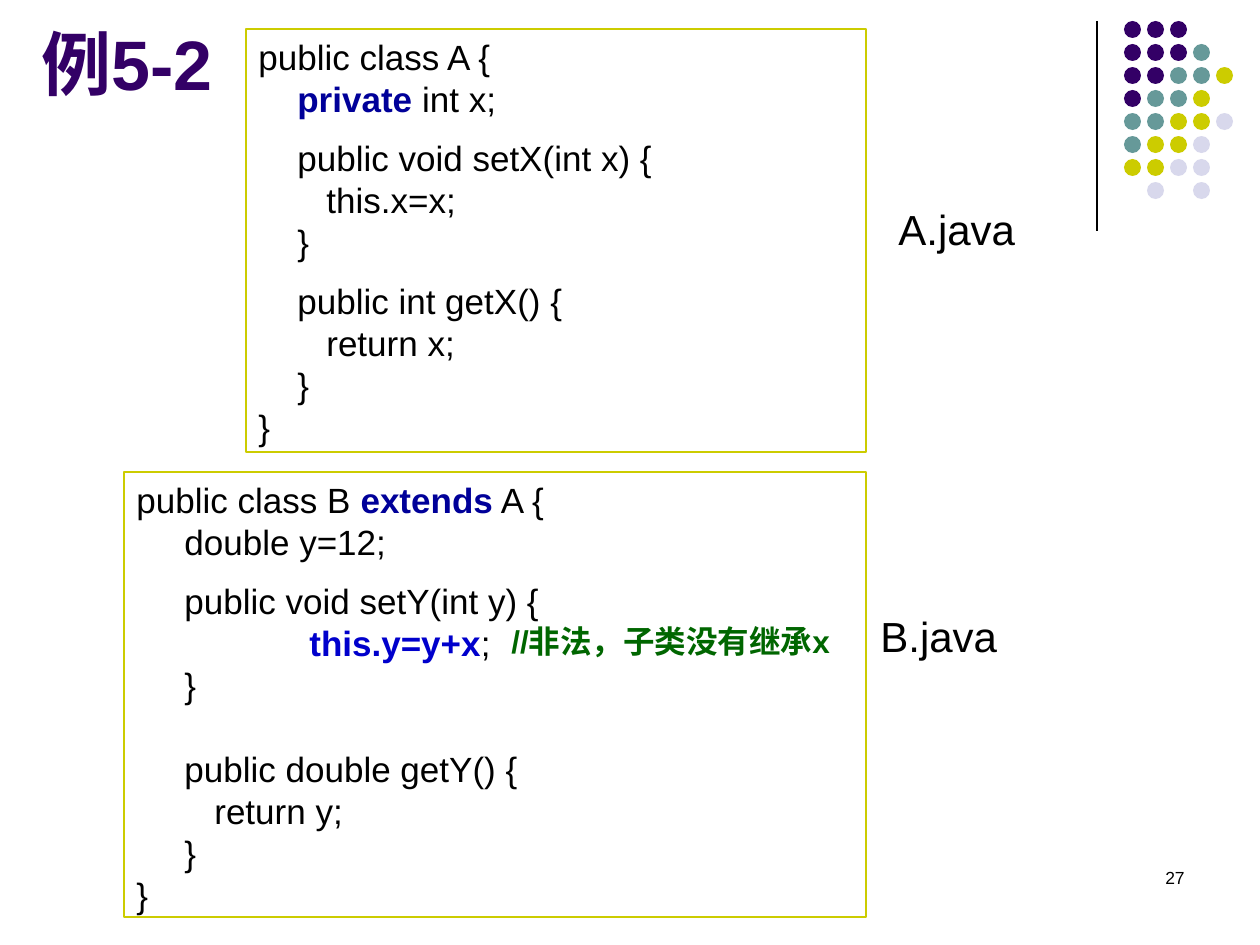
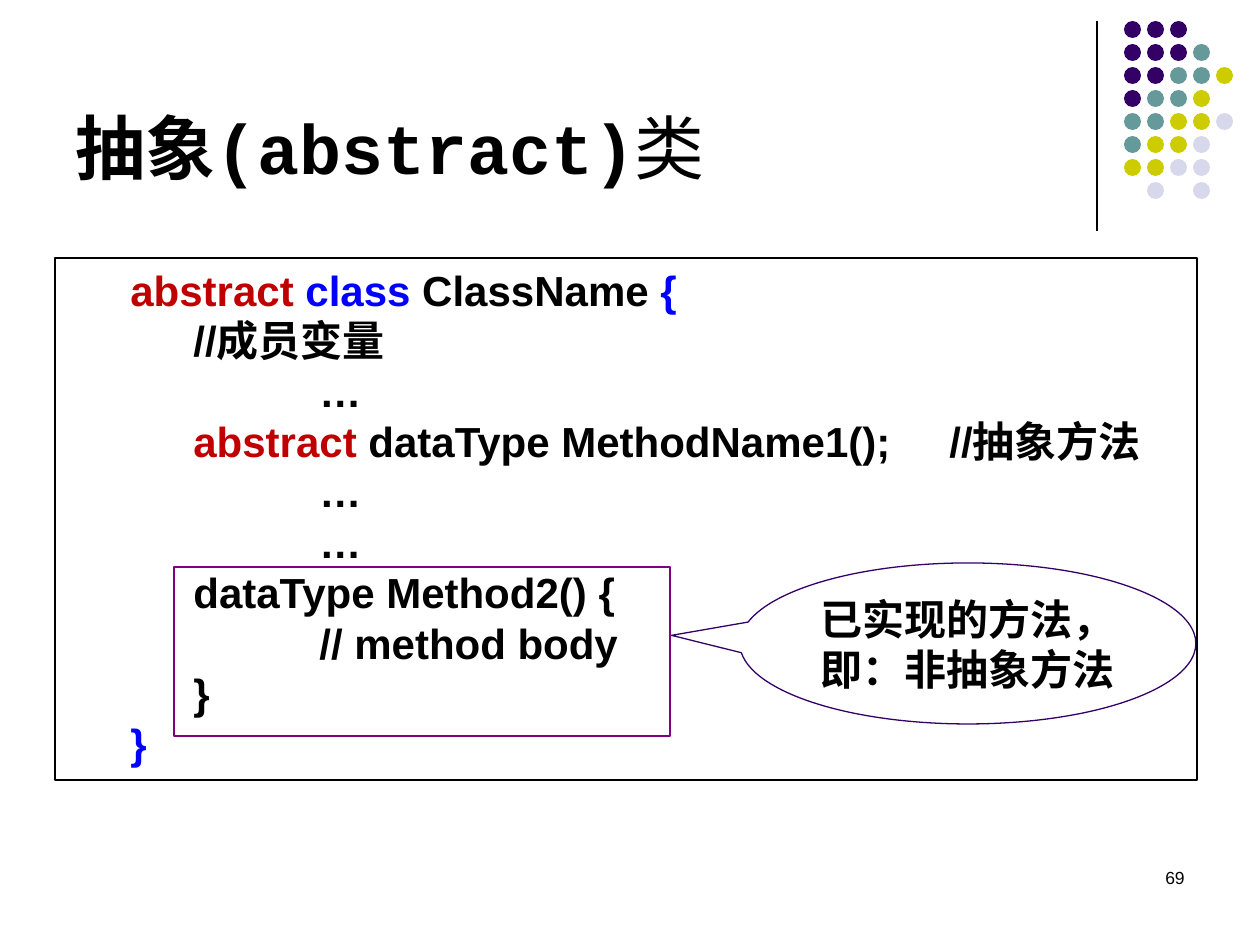
from lxml.etree import SubElement
from pptx import Presentation
from pptx.dml.color import RGBColor
from pptx.enum.shapes import MSO_CONNECTOR, MSO_SHAPE
from pptx.enum.text import MSO_ANCHOR, PP_ALIGN
from pptx.oxml.ns import qn
from pptx.util import Emu, Pt

# Colours
BLACK = RGBColor(0x00, 0x00, 0x00)
PURPLE = RGBColor(0x33, 0x00, 0x66)
TEAL = RGBColor(0x66, 0x99, 0x99)
YELLOW = RGBColor(0xCC, 0xCC, 0x00)
LAVENDER = RGBColor(0xD8, 0xD8, 0xEC)
NAVY = RGBColor(0x00, 0x00, 0x99)
MEDIUM_BLUE = RGBColor(0x00, 0x00, 0xCC)
BLUE = RGBColor(0x00, 0x00, 0xFF)
RED = RGBColor(0xC0, 0x00, 0x00)
GREEN = RGBColor(0x00, 0x66, 0x00)
VIOLET = RGBColor(0x80, 0x00, 0x80)

# Shared decoration: one letter per dot, one string per row
DOT_ROWS = ["PPP", "PPPT", "PPTTY", "PTTY", "TTYYL", "TYYL", "YYLL", ".L.L"]
DOT_COLORS = {"P": PURPLE, "T": TEAL, "Y": YELLOW, "L": LAVENDER}
DOT_LEFT, DOT_TOP, DOT_PITCH, DOT_SIZE = 1124, 21, 23, 17
RULE_X, RULE_TOP, RULE_BOTTOM = 1097, 21, 231
NUMBER_BOX = (903, 861, 294, 63)

# Code lines: (indent px, gap above px, runs); a run is text or (text, style)
CLASS_A = [
    (0, 0, ["public class A {"]),
    (39, 0, [("private ", {"color": NAVY, "bold": True}), "int x;"]),
    (39, 17, ["public void setX(int x) {"]),
    (68, 0, ["this.x=x;"]),
    (39, 0, ["}"]),
    (39, 17, ["public int getX() {"]),
    (68, 0, ["return x;"]),
    (39, 0, ["}"]),
    (0, 0, ["}"]),
]
CLASS_B = [
    (0, 0, ["public class B ", ("extends", {"color": NAVY, "bold": True}), " A {"]),
    (48, 0, ["double y=12;"]),
    (48, 17, ["public void setY(int y) {"]),
    (173, 0, [("this.y=y+x", {"color": MEDIUM_BLUE, "bold": True}), ";"]),
    (48, 0, ["}"]),
    (48, 42, ["public double getY() {"]),
    (78, 0, ["return y;"]),
    (48, 0, ["}"]),
    (0, 0, ["}"]),
]
ABSTRACT_CLASS = [
    (63, 0, [("abstract ", {"color": RED}), ("class ", {"color": BLUE}),
             "ClassName ", ("{", {"color": BLUE})]),
    (126, 0, ["//成员变量"]),
    (252, 0, ["…"]),
    (126, 0, [("abstract ", {"color": RED}), "dataType MethodName1();\t//抽象方法"]),
    (252, 0, ["…"]),
    (252, 0, ["…"]),
    (126, 0, ["dataType Method2() {"]),
    (252, 0, ["// method body"]),
    (126, 0, ["}"]),
    (63, 0, [("}", {"color": BLUE})]),
]
CLASS_BOXES = [((246, 29, 620, 423), CLASS_A), ((124, 472, 742, 445), CLASS_B)]
FILE_LABELS = [("A.java", (886, 197, 197, 63)), ("B.java", (868, 604, 197, 63))]


def px(length):
    return Emu(round(length * 914400 / 126))


def single(*runs):
    return [(0, 0, runs)]


def write(shape, lines, size, color=BLACK, bold=False, name="Arial",
          align=PP_ALIGN.LEFT, anchor=MSO_ANCHOR.TOP):
    frame = shape.text_frame
    frame.word_wrap = True
    frame.vertical_anchor = anchor
    for index, (indent, gap, runs) in enumerate(lines):
        paragraph = frame.paragraphs[0] if index == 0 else frame.add_paragraph()
        paragraph.alignment = align
        paragraph.line_spacing = Pt(size * 1.2)
        paragraph.space_before = px(gap)
        properties = paragraph._p.get_or_add_pPr()
        properties.set("marL", str(px(indent)))
        properties.set("indent", "0")
        font = paragraph.font
        font.name, font.size, font.bold = name, Pt(size), bold
        font.color.rgb = color
        for item in runs:
            text, style = (item, {}) if isinstance(item, str) else item
            run = paragraph.add_run()
            run.text = text
            if "color" in style:
                run.font.color.rgb = style["color"]
            if "bold" in style:
                run.font.bold = style["bold"]
            if "name" in style:
                run.font.name = style["name"]


def add_text(slide, box, lines, size, **style):
    shape = slide.shapes.add_textbox(*map(px, box))
    write(shape, lines, size, **style)


def add_outline(slide, box, color, kind=MSO_SHAPE.RECTANGLE):
    shape = slide.shapes.add_shape(kind, *map(px, box))
    shape.shadow.inherit = False
    shape.fill.background()
    shape.line.color.rgb = color
    shape.line.width = Pt(0.75)
    return shape


def add_base_slide(presentation, number):
    """Blank slide with the rule, the dot pattern and the page number."""
    slide = presentation.slides.add_slide(presentation.slide_layouts[6])
    rule = slide.shapes.add_connector(
        MSO_CONNECTOR.STRAIGHT, px(RULE_X), px(RULE_TOP), px(RULE_X), px(RULE_BOTTOM))
    rule.line.color.rgb = BLACK
    rule.line.width = Pt(0.75)
    SubElement(rule._element.spPr, qn("a:effectLst"))
    for row, letters in enumerate(DOT_ROWS):
        for column, letter in enumerate(letters):
            if letter not in DOT_COLORS:
                continue
            dot = slide.shapes.add_shape(
                MSO_SHAPE.OVAL, px(DOT_LEFT + column * DOT_PITCH),
                px(DOT_TOP + row * DOT_PITCH), px(DOT_SIZE), px(DOT_SIZE))
            dot.shadow.inherit = False
            dot.fill.solid()
            dot.fill.fore_color.rgb = DOT_COLORS[letter]
            dot.line.fill.background()
    add_text(slide, NUMBER_BOX, single(str(number)), 10, align=PP_ALIGN.RIGHT)
    return slide


def add_title(slide, box, runs, **style):
    add_text(slide, box, single(*runs), 40, bold=True, anchor=MSO_ANCHOR.BOTTOM, **style)


def build_private_example(presentation):
    slide = add_base_slide(presentation, 27)
    add_title(slide, (29, 29, 217, 82), ["例5-2"], color=PURPLE)
    for box, code in CLASS_BOXES:
        write(add_outline(slide, box, YELLOW), code, 20)
    for label, box in FILE_LABELS:
        add_text(slide, box, single(label), 24)
    add_text(slide, (499, 616, 349, 50), single("//非法，子类没有继承x"), 18,
             color=GREEN, bold=True)


def build_abstract_class(presentation):
    slide = add_base_slide(presentation, 69)
    add_title(slide, (63, 16, 1040, 179),
              ["抽象(abstract)", ("类", {"name": "Arial", "bold": False})],
              name="Courier New")
    code_box = add_outline(slide, (55, 258, 1142, 522), BLACK)
    write(code_box, ABSTRACT_CLASS, 24, bold=True)
    # Frame around the implemented method, and its callout
    add_outline(slide, (174, 567, 496, 169), VIOLET)
    callout = add_outline(slide, (740, 563, 456, 161), PURPLE, MSO_SHAPE.OVAL_CALLOUT)
    callout.adjustments[0] = -0.65
    callout.adjustments[1] = -0.05
    write(callout, single("已实现的方法，即：非抽象方法"), 24, bold=True,
          align=PP_ALIGN.CENTER, anchor=MSO_ANCHOR.MIDDLE)


def main():
    presentation = Presentation()
    presentation.slide_width, presentation.slide_height = px(1260), px(945)
    build_private_example(presentation)
    build_abstract_class(presentation)
    presentation.save("out.pptx")


if __name__ == "__main__":
    main()
